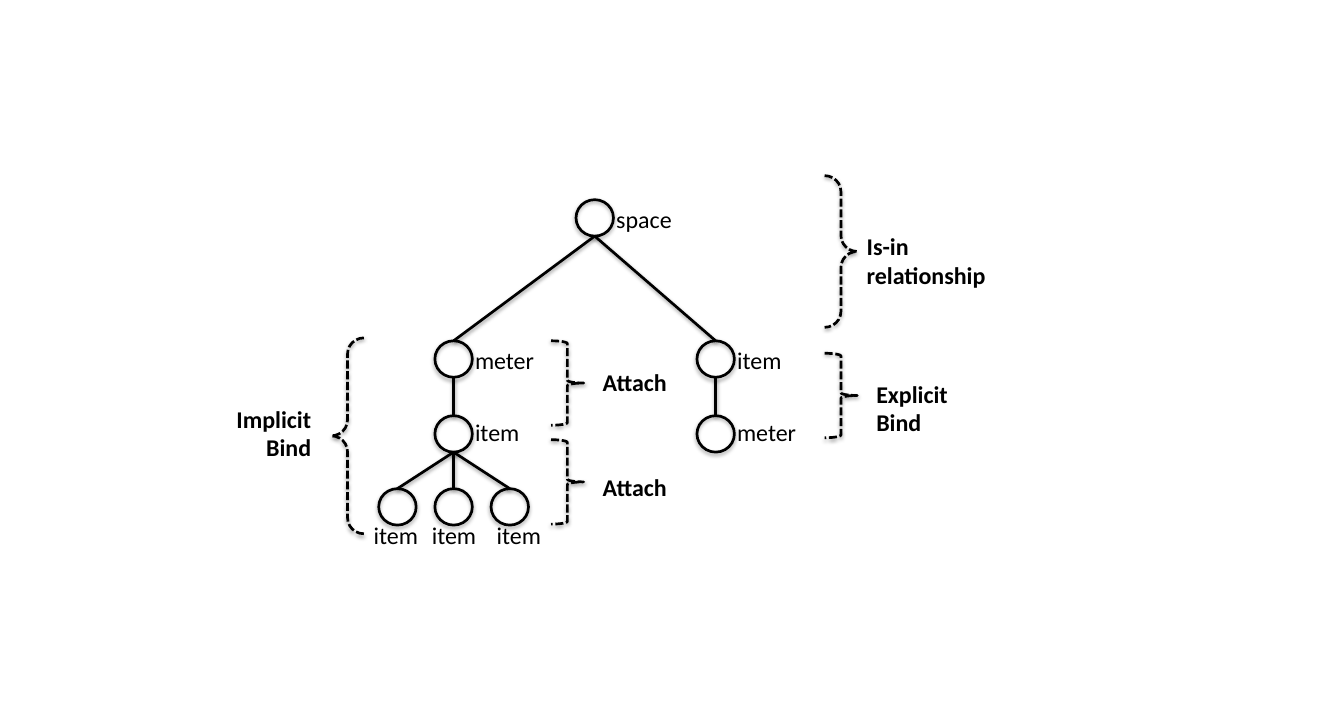
from dataclasses import dataclass

from lxml.etree import SubElement
from pptx import Presentation
from pptx.dml.color import RGBColor
from pptx.enum.dml import MSO_LINE
from pptx.enum.shapes import MSO_CONNECTOR, MSO_SHAPE
from pptx.enum.text import MSO_AUTO_SIZE, PP_ALIGN
from pptx.oxml.ns import qn
from pptx.util import Inches, Pt


@dataclass(frozen=True)
class Theme:
    """Colours, type and line sizes shared by the whole slide."""
    ink: RGBColor = RGBColor(0, 0, 0)
    font: str = "Calibri"
    text_size: float = 18
    line_width: float = 2
    shadow_blur: float = 3.1


THEME = Theme()
NODE_WIDTH, NODE_HEIGHT = 0.39, 0.38
BRACE_WIDTH = 0.34
LEVEL_GAP = 0.78


def style_outline(shape, distance, opacity):
    """Give a shape or connector the black line and its soft lower shadow."""
    shape.line.color.rgb = THEME.ink
    shape.line.width = Pt(THEME.line_width)
    effects = SubElement(shape._element.spPr, qn("a:effectLst"))
    shadow = SubElement(effects, qn("a:outerShdw"), blurRad=str(Pt(THEME.shadow_blur)),
                        dist=str(Pt(distance)), dir="5400000", rotWithShape="0")
    color = SubElement(shadow, qn("a:srgbClr"), val=str(THEME.ink))
    SubElement(color, qn("a:alpha"), val=str(opacity * 1000))


def add_node(page, left, top):
    """Draw one tree node and return its top and bottom joints."""
    node = page.shapes.add_shape(MSO_SHAPE.OVAL, Inches(left), Inches(top),
                                 Inches(NODE_WIDTH), Inches(NODE_HEIGHT))
    node.fill.background()
    style_outline(node, 1.8, 35)
    center = left + NODE_WIDTH / 2
    return (center, top), (center, top + NODE_HEIGHT)


def add_edge(page, start, end):
    """Join two points with a straight line."""
    edge = page.shapes.add_connector(MSO_CONNECTOR.STRAIGHT,
                                     *(Inches(value) for value in start + end))
    style_outline(edge, 1.6, 38)


def add_label(page, left, top, width, text, bold=False, align=PP_ALIGN.LEFT):
    """Write a label of one or more lines."""
    lines = text.split("\n")
    box = page.shapes.add_textbox(Inches(left), Inches(top), Inches(width),
                                  Inches(0.4 + 0.31 * (len(lines) - 1)))
    frame = box.text_frame
    frame.text = text
    frame.word_wrap = False
    frame.auto_size = MSO_AUTO_SIZE.SHAPE_TO_FIT_TEXT
    for para in frame.paragraphs:
        para.alignment = align
        for span in para.runs:
            span.font.name = THEME.font
            span.font.size = Pt(THEME.text_size)
            span.font.bold = bold
            span.font.color.rgb = THEME.ink


def add_brace(page, left, top, height, curl=None, rotation=0):
    """Draw a dashed right brace, optionally rounder or turned around."""
    brace = page.shapes.add_shape(MSO_SHAPE.RIGHT_BRACE, Inches(left), Inches(top),
                                  Inches(BRACE_WIDTH), Inches(height))
    if curl is not None:
        brace.adjustments[0] = curl
    brace.rotation = rotation
    brace.fill.background()
    brace.line.dash_style = MSO_LINE.SQUARE_DOT
    style_outline(brace, 1.6, 38)


def draw_pair(page, left, top, labels):
    """Draw two linked nodes with labels; return the outer joints."""
    upper_top, upper_bottom = add_node(page, left, top)
    lower_top, lower_bottom = add_node(page, left, top + LEVEL_GAP)
    add_edge(page, upper_bottom, lower_top)
    for text, width, offset in zip(labels, (0.83, 0.67) if labels[0] == "meter"
                                   else (0.67, 0.83), (0, LEVEL_GAP - 0.03)):
        add_label(page, left + 0.32, top + offset, width, text)
    return upper_top, lower_bottom


def draw_implicit_branch(page, left, top):
    """Draw the meter branch with its leaves and braces; return its top joint."""
    root, fork = draw_pair(page, left, top, ("meter", "item"))
    for column, label_shift in zip((-1, 0, 1), (-0.15, -0.13, -0.04)):
        leaf_left = left + column * 0.585
        leaf, _ = add_node(page, leaf_left, top + 1.54)
        add_edge(page, fork, leaf)
        add_label(page, leaf_left + label_shift, top + 1.82, 0.67, "item")
    for brace_offset, label_offset in ((0, 0.23), (1.03, 1.32)):
        add_brace(page, left + 1.21, top + brace_offset, 0.88)
        add_label(page, left + 1.65, top + label_offset, 0.89, "Attach", bold=True)
    add_brace(page, left - 1.08, top - 0.03, 2.04, curl=0.488, rotation=180)
    add_label(page, left - 2.18, top + 0.61, 0.99, "Implicit\nBind", bold=True,
              align=PP_ALIGN.RIGHT)
    return root


def draw_explicit_branch(page, left, top):
    """Draw the item branch with its brace; return its top joint."""
    root, _ = draw_pair(page, left, top, ("item", "meter"))
    add_brace(page, left + 1.33, top + 0.13, 0.88)
    add_label(page, left + 1.77, top + 0.35, 0.96, "Explicit\nBind", bold=True)
    return root


def draw_space_root(page, left, top, branches):
    """Draw the space node, its edges to the branches and its brace."""
    _, fork = add_node(page, left, top)
    add_label(page, left + 0.32, top, 0.79, "space")
    for branch in branches:
        add_edge(page, fork, branch)
    add_brace(page, left + 2.59, top - 0.25, 1.58, curl=0.488)
    add_label(page, left + 2.93, top + 0.28, 1.46, "Is-in\nrelationship", bold=True)


def main():
    """Build and save the slide."""
    deck = Presentation()
    deck.slide_width, deck.slide_height = Inches(14), Inches(7.5)
    page = deck.slides.add_slide(deck.slide_layouts[6])
    branches = (draw_implicit_branch(page, 4.53, 3.55),
                draw_explicit_branch(page, 7.26, 3.55))
    draw_space_root(page, 6, 2.08, branches)
    deck.save("out.pptx")


main()
